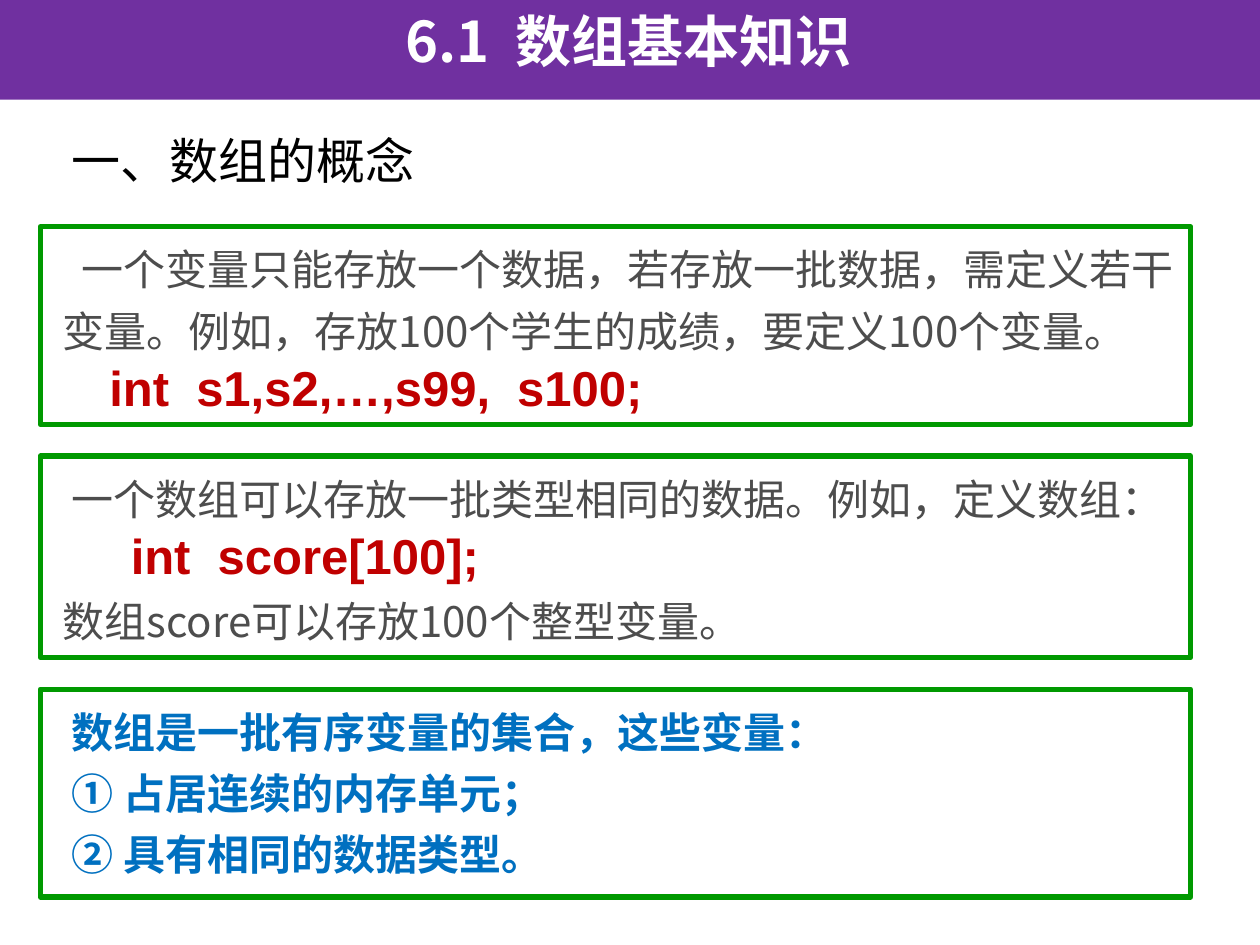
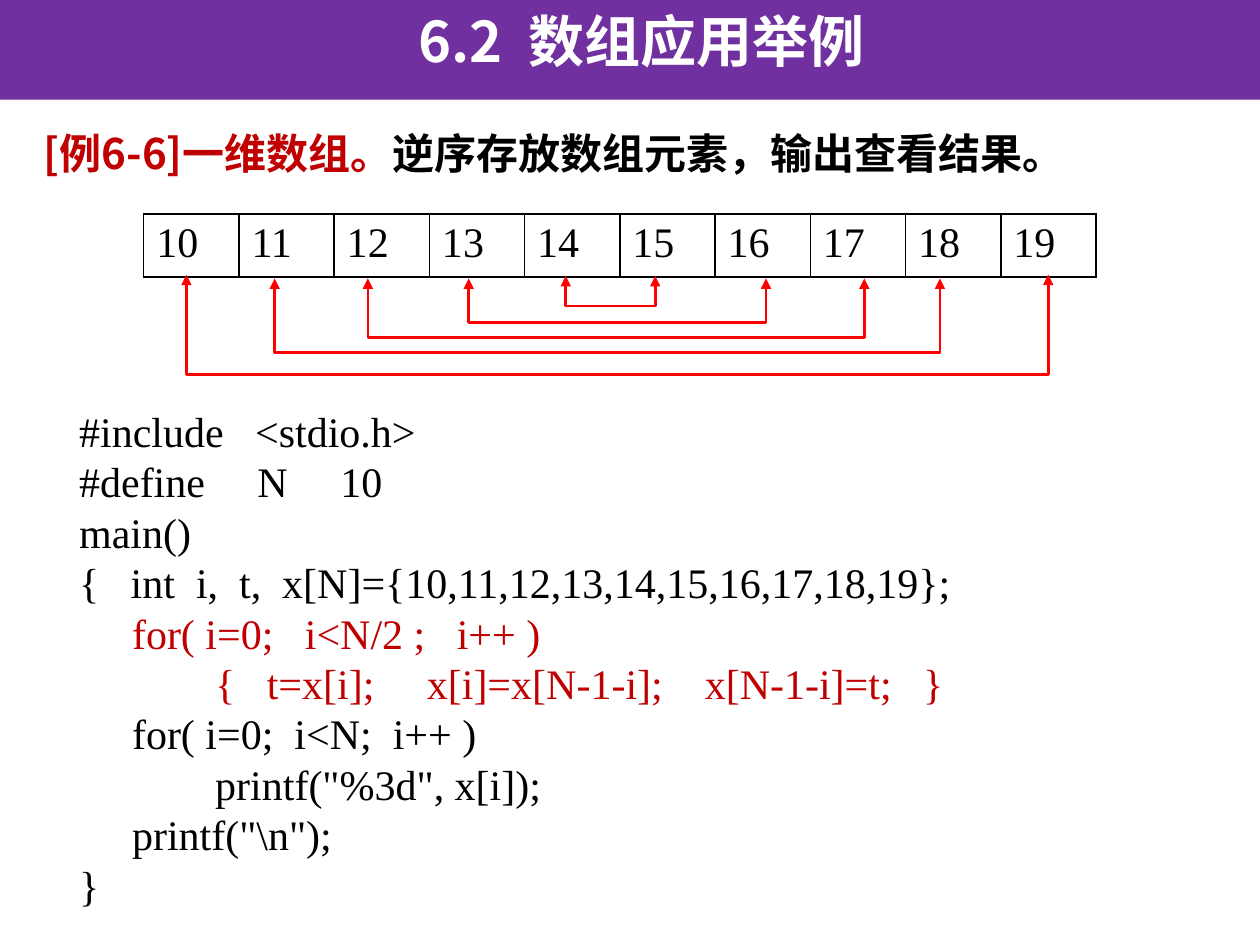
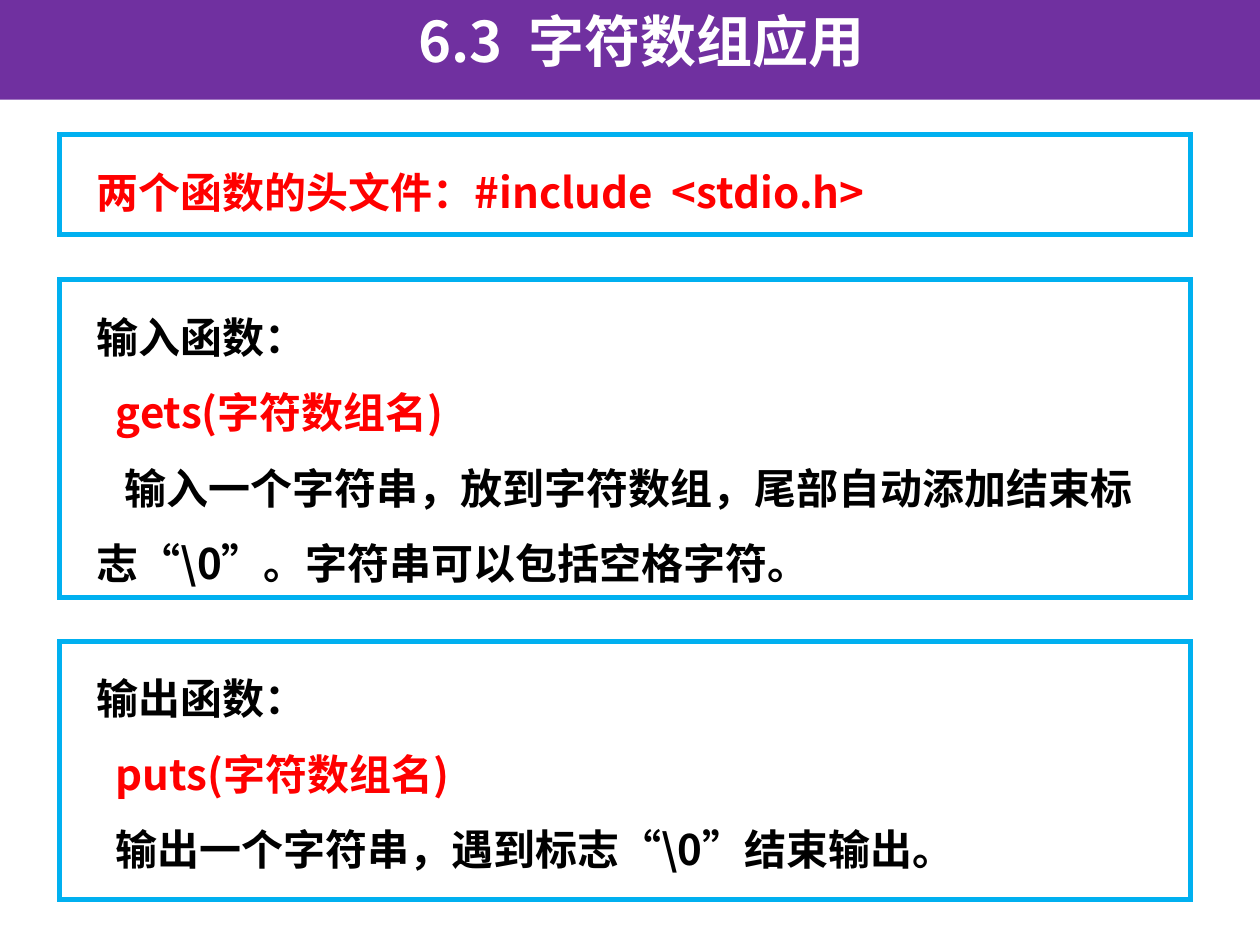
from dataclasses import dataclass

from lxml.etree import SubElement
from pptx import Presentation
from pptx.dml.color import RGBColor
from pptx.enum.shapes import MSO_SHAPE
from pptx.enum.text import MSO_ANCHOR, MSO_AUTO_SIZE, PP_ALIGN
from pptx.oxml.ns import qn
from pptx.util import Inches, Pt

COLORS = {
    "band": "7030A0",
    "white": "FFFFFF",
    "black": "000000",
    "gray": "4D4D4D",
    "dark_red": "C00000",
    "red": "FF0000",
    "blue": "0070C0",
    "green": "009900",
    "sky": "00B0F0",
}
CJK = "Noto Sans CJK SC"
SERIF = "Times New Roman"
SANS = "Arial"
TITLE_ONLY = 5


@dataclass(frozen=True)
class Style:
    size: float
    font: str
    color: str
    bold: bool = False


@dataclass(frozen=True)
class Para:
    """Text pieces with their styles; left and first are indents in inches."""
    spans: list[tuple[str, Style]]
    left: float = 0.0
    first: float = 0.0


@dataclass(frozen=True)
class Box:
    top: float
    height: float
    paras: list[Para]


@dataclass(frozen=True)
class BoxLook:
    left: float
    width: float
    line: str
    spacing: float | Pt
    fill: str | None = None
    miter: bool = False


@dataclass(frozen=True)
class Swap:
    """Bracket that joins two cells to be exchanged."""
    left: float
    top: float
    span: float
    depth: float


TITLE = Style(32, CJK, "white", True)
HEADING = Style(28, CJK, "black")
BODY = Style(24, CJK, "gray")
DECLARATION = Style(28, SANS, "dark_red", True)
KEY = Style(24, CJK, "blue", True)
CODE = Style(24, SERIF, "black")
CODE_KEY = Style(24, SERIF, "dark_red")
STRONG = Style(24, CJK, "black", True)
EXAMPLE = Style(24, CJK, "dark_red", True)
CALL = Style(24, CJK, "red", True)

CONCEPT_LOOK = BoxLook(0.32, 9.13, "green", Pt(35), fill="white")
FUNCTION_LOOK = BoxLook(0.47, 8.98, "sky", 1.5, miter=True)


# Shared helpers
def rgb(name: str) -> RGBColor:
    return RGBColor.from_string(COLORS[name])


def line(text: str, style: Style, left: float = 0.0, first: float = 0.0) -> Para:
    return Para([(text, style)], left, first)


def format_run(r, style: Style) -> None:
    r.font.size = Pt(style.size)
    r.font.bold = style.bold
    r.font.color.rgb = rgb(style.color)
    r.font.name = style.font
    SubElement(r._r.get_or_add_rPr(), qn("a:ea"), typeface=style.font)


def write(tf, paras: list[Para], spacing=None, align=PP_ALIGN.LEFT) -> None:
    tf.word_wrap = True
    tf.auto_size = MSO_AUTO_SIZE.NONE
    tf.vertical_anchor = MSO_ANCHOR.TOP
    for i, para in enumerate(paras):
        p = tf.paragraphs[0] if i == 0 else tf.add_paragraph()
        p.alignment = align
        if spacing is not None:
            p.line_spacing = spacing
        pPr = p._p.get_or_add_pPr()
        pPr.set("marL", str(Inches(para.left)))
        pPr.set("indent", str(Inches(para.first)))
        for text, style in para.spans:
            r = p.add_run()
            r.text = text
            format_run(r, style)


def add_titled_slide(prs, title: str, indent: float = 0.0):
    s = prs.slides.add_slide(prs.slide_layouts[TITLE_ONLY])
    sp = s.shapes.title
    sp.left, sp.top = Inches(-0.03), Inches(0)
    sp.width, sp.height = Inches(10.04), Inches(0.79)
    sp.fill.solid()
    sp.fill.fore_color.rgb = rgb("band")
    write(sp.text_frame, [line(title, TITLE, indent)], align=PP_ALIGN.CENTER)
    return s


def add_text(s, left: float, top: float, width: float, height: float,
             paras: list[Para]) -> None:
    sp = s.shapes.add_textbox(Inches(left), Inches(top), Inches(width), Inches(height))
    write(sp.text_frame, paras)


def add_box(s, box: Box, look: BoxLook) -> None:
    sp = s.shapes.add_shape(MSO_SHAPE.RECTANGLE, Inches(look.left), Inches(box.top),
                            Inches(look.width), Inches(box.height))
    sp.shadow.inherit = False
    if look.fill:
        sp.fill.solid()
        sp.fill.fore_color.rgb = rgb(look.fill)
    else:
        sp.fill.background()
    sp.line.color.rgb = rgb(look.line)
    sp.line.width = Pt(3)
    if look.miter:
        SubElement(sp.line._get_or_add_ln(), qn("a:miter"), lim="800000")
    write(sp.text_frame, box.paras, look.spacing)


def add_array(s, values: range) -> None:
    frame = s.shapes.add_table(1, len(values), Inches(1.14), Inches(1.7),
                               Inches(7.56), Inches(0.5))
    table = frame.table
    table.first_row = table.horz_banding = False
    for cell, value in zip(table.rows[0].cells, values):
        tcPr = cell._tc.get_or_add_tcPr()
        for side in ("lnL", "lnR", "lnT", "lnB"):
            ln = SubElement(tcPr, qn(f"a:{side}"), w=str(Pt(1)))
            fill = SubElement(ln, qn("a:solidFill"))
            SubElement(fill, qn("a:srgbClr"), val=COLORS["black"])
        cell.fill.background()
        cell.text = str(value)
        format_run(cell.text_frame.paragraphs[0].runs[0], CODE)


def add_swap(s, swap: Swap) -> None:
    # The bracket is turned by 270 degrees, so its frame is depth by span
    left = swap.left + (swap.span - swap.depth) / 2
    top = swap.top + (swap.depth - swap.span) / 2
    sp = s.shapes.add_shape(MSO_SHAPE.LEFT_BRACKET, Inches(left), Inches(top),
                            Inches(swap.depth), Inches(swap.span))
    sp.rotation = 270
    sp.adjustments[0] = 0
    sp.shadow.inherit = False
    sp.fill.background()
    sp.line.color.rgb = rgb("red")
    sp.line.width = Pt(1.5)
    ln = sp.line._get_or_add_ln()
    for end in ("headEnd", "tailEnd"):
        SubElement(ln, qn(f"a:{end}"), type="triangle")


# Slide 1: what an array is
def build_concept(prs) -> None:
    s = add_titled_slide(prs, "6.1  数组基本知识")
    add_text(s, 0.39, 0.99, 3.6, 0.71, [line("一、数组的概念", HEADING, 0.08)])
    boxes = [
        Box(1.8, 1.57, [
            line("一个变量只能存放一个数据，若存放一批数据，需定义若干变量。"
                 "例如，存放100个学生的成绩，要定义100个变量。", BODY, 0.08, 0.15),
            line("int  s1,s2,…,s99,  s100;", DECLARATION, 0.08, 0.37),
        ]),
        Box(3.62, 1.6, [
            line("一个数组可以存放一批类型相同的数据。例如，定义数组：", BODY, 0.08, 0.07),
            line("int  score[100];", DECLARATION, 0.08, 0.54),
            line("数组score可以存放100个整型变量。", BODY, 0.08),
        ]),
        Box(5.47, 1.65, [
            line("数组是一批有序变量的集合，这些变量：", KEY, 0.08, 0.07),
            line("① 占居连续的内存单元；", KEY, 0.38, -0.23),
            line("② 具有相同的数据类型。", KEY, 0.38, -0.23),
        ]),
    ]
    for box in boxes:
        add_box(s, box, CONCEPT_LOOK)


# Slide 2: reversing an array
def build_reverse(prs) -> None:
    s = add_titled_slide(prs, "6.2  数组应用举例", 0.2)
    program = [
        ("#include   <stdio.h>", CODE, 0),
        ("#define     N     10", CODE, 0),
        ("main()", CODE, 0),
        ("{   int  i,  t,  x[N]={10,11,12,13,14,15,16,17,18,19};", CODE, 0),
        ("for( i=0;   i<N/2 ;   i++ )", CODE_KEY, 0.42),
        ("{   t=x[i];     x[i]=x[N-1-i];    x[N-1-i]=t;   }", CODE_KEY, 1.08),
        ("for( i=0;  i<N;  i++ )", CODE, 0.42),
        ('printf("%3d", x[i]);', CODE, 1.08),
        (r'printf("\n");', CODE, 0.42),
        ("}", CODE, 0),
    ]
    add_text(s, 0.33, 3.17, 8.94, 4.2,
             [line(text, style, 0.2, first) for text, style, first in program])
    add_text(s, 0.25, 0.96, 8.5, 0.5, [
        Para([("[例6-6]一维数组。", EXAMPLE), ("逆序存放数组元素，输出查看结果。", STRONG)]),
    ])
    add_array(s, range(10, 20))
    swaps = [
        Swap(1.48, 2.18, 6.84, 0.79),
        Swap(2.18, 2.21, 5.28, 0.59),
        Swap(2.92, 2.21, 3.94, 0.47),
        Swap(3.72, 2.21, 2.36, 0.35),
        Swap(4.49, 2.19, 0.71, 0.24),
    ]
    for swap in swaps:
        add_swap(s, swap)


# Slide 3: string input and output
def build_strings(prs) -> None:
    s = add_titled_slide(prs, "6.3  字符数组应用", 0.2)
    boxes = [
        Box(1.07, 0.79, [line("两个函数的头文件：#include  <stdio.h>", CALL, 0.2)]),
        Box(2.22, 2.52, [
            line("输入函数：", STRONG, 0.2),
            line("gets(字符数组名)", CALL, 0.2, 0.15),
            line(r"输入一个字符串，放到字符数组，尾部自动添加结束标志“\0”。"
                 "字符串可以包括空格字符。", STRONG, 0.2, 0.22),
        ]),
        Box(5.09, 2.05, [
            line("输出函数：", STRONG, 0.2),
            line("puts(字符数组名)", CALL, 0.2, 0.15),
            line(r"输出一个字符串，遇到标志“\0”结束输出。", STRONG, 0.2, 0.15),
        ]),
    ]
    for box in boxes:
        add_box(s, box, FUNCTION_LOOK)


def main() -> None:
    prs = Presentation()
    prs.slide_width, prs.slide_height = Inches(10), Inches(7.5)
    build_concept(prs)
    build_reverse(prs)
    build_strings(prs)
    prs.save("out.pptx")


if __name__ == "__main__":
    main()
